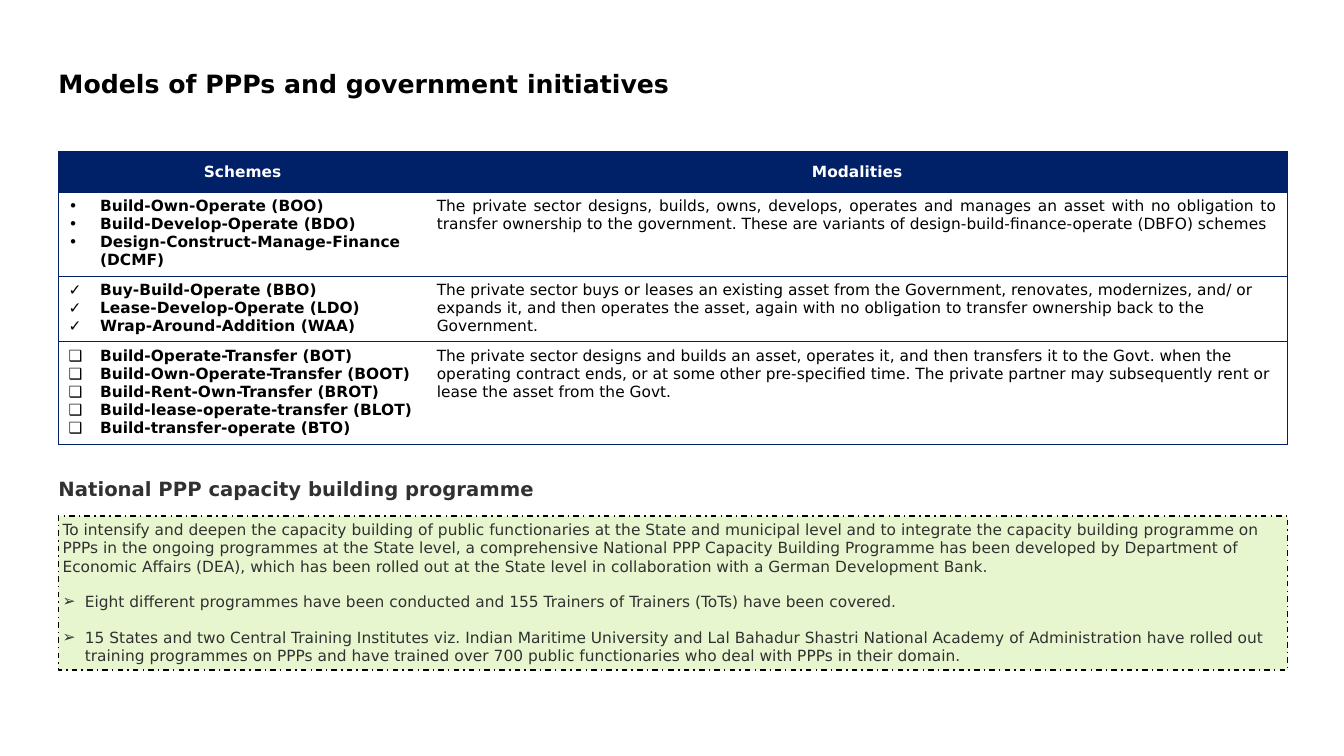
from lxml.etree import SubElement
from pptx import Presentation
from pptx.dml.color import RGBColor
from pptx.enum.dml import MSO_LINE
from pptx.enum.shapes import MSO_SHAPE
from pptx.enum.text import MSO_ANCHOR, PP_ALIGN
from pptx.oxml.ns import qn
from pptx.util import Pt

FONT = "DejaVu Sans"
NAVY, WHITE, BLACK, GREY, GREEN = "002068", "FFFFFF", "000000", "313131", "E8F6CF"

TITLE = "Models of PPPs and government initiatives"
HEADINGS = ("Schemes", "Modalities")
# bullet, schemes, modality, alignment of the modality
MODELS = [
    ("•",
     ["Build-Own-Operate (BOO)", "Build-Develop-Operate (BDO)",
      "Design-Construct-Manage-Finance (DCMF)"],
     "The private sector designs, builds, owns, develops, operates and manages an asset "
     "with no obligation to transfer ownership to the government. These are variants of "
     "design-build-finance-operate (DBFO) schemes", PP_ALIGN.JUSTIFY),
    ("✓",
     ["Buy-Build-Operate (BBO)", "Lease-Develop-Operate (LDO)",
      "Wrap-Around-Addition (WAA)"],
     "The private sector buys or leases an existing asset from the Government, renovates, "
     "modernizes, and/ or expands it, and then operates the asset, again with no obligation "
     "to transfer ownership back to the Government.", PP_ALIGN.LEFT),
    ("❑",
     ["Build-Operate-Transfer (BOT)", "Build-Own-Operate-Transfer (BOOT)",
      "Build-Rent-Own-Transfer (BROT)", "Build-lease-operate-transfer (BLOT)",
      "Build-transfer-operate (BTO)"],
     "The private sector designs and builds an asset, operates it, and then transfers it to "
     "the Govt. when the operating contract ends, or at some other pre-specified time. The "
     "private partner may subsequently rent or lease the asset from the Govt.", PP_ALIGN.LEFT),
]
PROGRAMME = "National PPP capacity building programme"
PROGRAMME_INTRO = (
    "To intensify and deepen the capacity building of public functionaries at the State and "
    "municipal level and to integrate the capacity building programme on PPPs in the ongoing "
    "programmes at the State level, a comprehensive National PPP Capacity Building Programme "
    "has been developed by Department of Economic Affairs (DEA), which has been rolled out at "
    "the State level in collaboration with a German Development Bank.")
PROGRAMME_RESULTS = [
    "Eight different programmes have been conducted and 155 Trainers of Trainers (ToTs) have "
    "been covered.",
    "15 States and two Central Training Institutes viz. Indian Maritime University and Lal "
    "Bahadur Shastri National Academy of Administration have rolled out training programmes "
    "on PPPs and have trained over 700 public functionaries who deal with PPPs in their domain.",
]

LEFT = 41.8
COLUMN_WIDTHS = (263, 615)
WIDTH = sum(COLUMN_WIDTHS)
ROW_HEIGHTS = (29, 58.5, 45.7, 71.5)


def rgb(colour):
    return RGBColor.from_string(colour)


def write(frame, lines, size, colour, bold=False, bullet=None, indent=0,
          align=PP_ALIGN.LEFT, gap=0):
    """Fill the frame with one paragraph per line, appending to any text in it."""
    for line in lines:
        first = not frame.text
        paragraph = frame.paragraphs[0] if first else frame.add_paragraph()
        if bullet:
            properties = paragraph._p.get_or_add_pPr()
            properties.set("marL", str(Pt(indent)))
            properties.set("indent", str(-Pt(indent)))
            SubElement(properties, qn("a:buFont"), typeface=FONT)
            SubElement(properties, qn("a:buChar"), char=bullet)
        paragraph.text = line
        paragraph.alignment = align
        if gap:
            paragraph.space_after = Pt(gap)
            if not first:
                paragraph.space_before = Pt(gap)
        font = paragraph.font
        font.name, font.size, font.bold = FONT, Pt(size), bold
        font.color.rgb = rgb(colour)


def add_heading(top, height, text, size, colour):
    box = slide.shapes.add_textbox(Pt(LEFT), Pt(top), Pt(WIDTH), Pt(height))
    frame = box.text_frame
    frame.word_wrap = True
    frame.margin_left = frame.margin_top = frame.margin_right = frame.margin_bottom = 0
    write(frame, [text], size, colour, bold=True)


def set_borders(cell, drawn):
    """Rule the drawn sides (of L, R, T, B) and clear the others."""
    properties = cell._tc.get_or_add_tcPr()
    for side in "LRTB":
        border = SubElement(properties, qn(f"a:ln{side}"), w=str(Pt(0.75)))
        if side in drawn:
            fill = SubElement(border, qn("a:solidFill"))
            SubElement(fill, qn("a:srgbClr"), val=NAVY)
        else:
            SubElement(border, qn("a:noFill"))


presentation = Presentation()
presentation.slide_width, presentation.slide_height = Pt(960), Pt(540)
slide = presentation.slides.add_slide(presentation.slide_layouts[6])

add_heading(49, 40, TITLE, 18, BLACK)

table = slide.shapes.add_table(
    len(ROW_HEIGHTS), len(COLUMN_WIDTHS), Pt(LEFT), Pt(108.3), Pt(WIDTH), Pt(sum(ROW_HEIGHTS))
).table
for column, width in zip(table.columns, COLUMN_WIDTHS):
    column.width = Pt(width)
for row, height in zip(table.rows, ROW_HEIGHTS):
    row.height = Pt(height)
    for cell, outer_side in zip(row.cells, "LR"):
        set_borders(cell, "TB" + outer_side)
        cell.fill.background()
for cell, heading in zip(table.rows[0].cells, HEADINGS):
    cell.fill.solid()
    cell.fill.fore_color.rgb = rgb(NAVY)
    cell.vertical_anchor = MSO_ANCHOR.MIDDLE
    write(cell.text_frame, [heading], 11, WHITE, bold=True, align=PP_ALIGN.CENTER)
for index, (bullet, schemes, modality, align) in enumerate(MODELS, 1):
    write(table.cell(index, 0).text_frame, schemes, 11, BLACK, bold=True,
          bullet=bullet, indent=22.5)
    write(table.cell(index, 1).text_frame, [modality], 11, BLACK, align=align)

add_heading(340.5, 17, PROGRAMME, 14, GREY)

panel = slide.shapes.add_shape(MSO_SHAPE.RECTANGLE, Pt(LEFT), Pt(368.6), Pt(WIDTH), Pt(110))
panel.shadow.inherit = False
panel.fill.solid()
panel.fill.fore_color.rgb = rgb(GREEN)
panel.line.color.rgb = rgb(BLACK)
panel.line.width = Pt(1)
panel.line.dash_style = MSO_LINE.DASH_DOT
frame = panel.text_frame
frame.word_wrap = True
frame.vertical_anchor = MSO_ANCHOR.TOP
frame.margin_left = frame.margin_top = frame.margin_right = frame.margin_bottom = Pt(2.85)
write(frame, [PROGRAMME_INTRO], 11, GREY, gap=6)
write(frame, PROGRAMME_RESULTS, 11, GREY, bullet="➢", indent=16, gap=6)

presentation.save("out.pptx")
